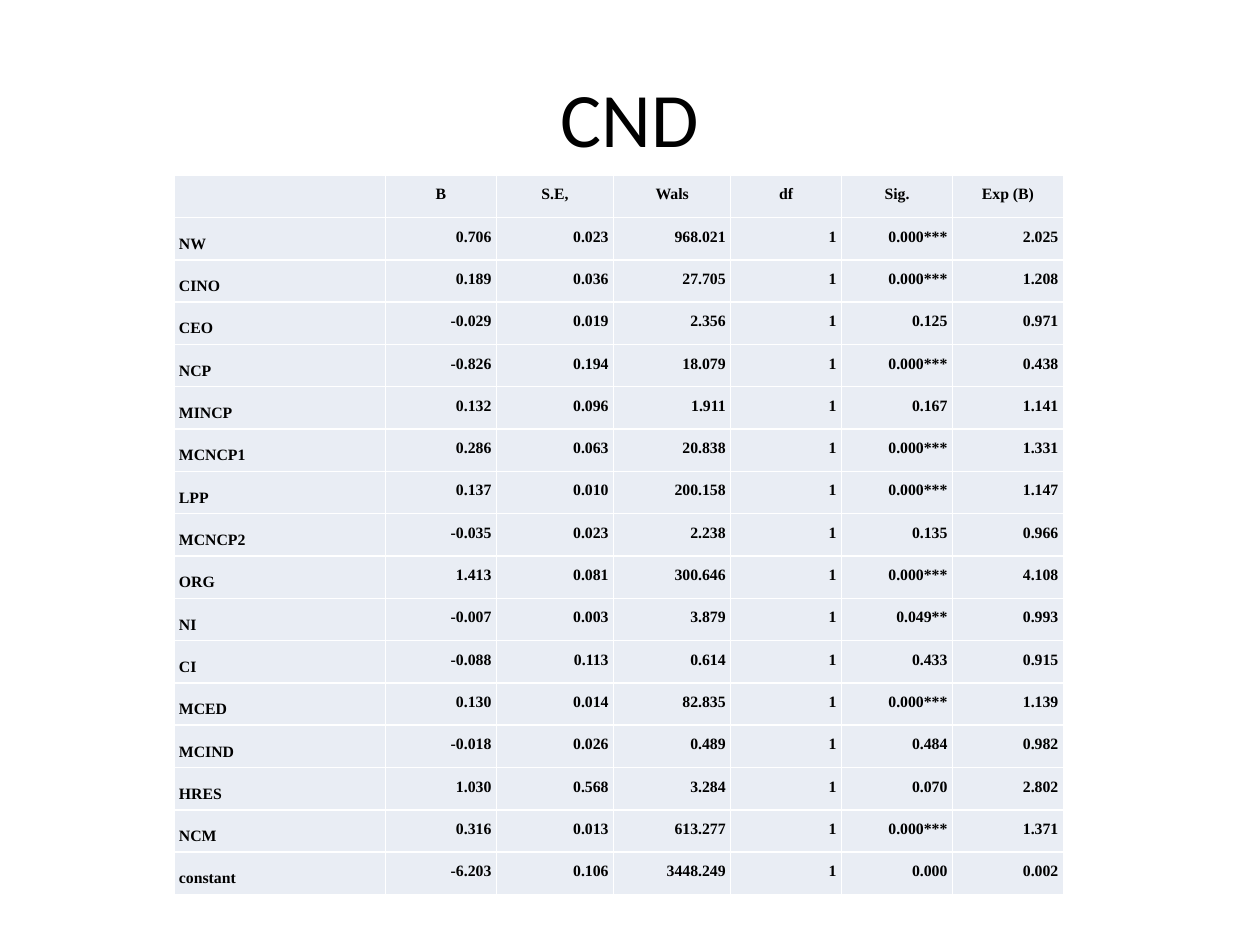
from lxml import etree
from pptx import Presentation
from pptx import util as u
from pptx.dml import color
from pptx.enum import text
from pptx.oxml import ns


def rgb(value):
    return color.RGBColor.from_string(value)


def add_borders(cell, value, points):
    properties = cell._tc.get_or_add_tcPr()
    for position, side in enumerate(("lnL", "lnR", "lnT", "lnB")):
        line = etree.Element(ns.qn(f"a:{side}"), w=str(u.Pt(points)))
        fill = etree.SubElement(line, ns.qn("a:solidFill"))
        etree.SubElement(fill, ns.qn("a:srgbClr"), val=value)
        properties.insert(position, line)


rows = [
    ["", "B", "S.E,", "Wals", "df", "Sig.", "Exp (B)"],
    ["NW", "0.706", "0.023", "968.021", "1", "0.000***", "2.025"],
    ["CINO", "0.189", "0.036", "27.705", "1", "0.000***", "1.208"],
    ["CEO", "-0.029", "0.019", "2.356", "1", "0.125", "0.971"],
    ["NCP", "-0.826", "0.194", "18.079", "1", "0.000***", "0.438"],
    ["MINCP", "0.132", "0.096", "1.911", "1", "0.167", "1.141"],
    ["MCNCP1", "0.286", "0.063", "20.838", "1", "0.000***", "1.331"],
    ["LPP", "0.137", "0.010", "200.158", "1", "0.000***", "1.147"],
    ["MCNCP2", "-0.035", "0.023", "2.238", "1", "0.135", "0.966"],
    ["ORG", "1.413", "0.081", "300.646", "1", "0.000***", "4.108"],
    ["NI", "-0.007", "0.003", "3.879", "1", "0.049**", "0.993"],
    ["CI", "-0.088", "0.113", "0.614", "1", "0.433", "0.915"],
    ["MCED", "0.130", "0.014", "82.835", "1", "0.000***", "1.139"],
    ["MCIND", "-0.018", "0.026", "0.489", "1", "0.484", "0.982"],
    ["HRES", "1.030", "0.568", "3.284", "1", "0.070", "2.802"],
    ["NCM", "0.316", "0.013", "613.277", "1", "0.000***", "1.371"],
    ["constant", "-6.203", "0.106", "3448.249", "1", "0.000", "0.002"],
]
column_widths = [1.68, 0.88, 0.93, 0.93, 0.88, 0.88, 0.88]

presentation = Presentation()
presentation.slide_width = u.Inches(10)
presentation.slide_height = u.Inches(7.5)
slide = presentation.slides.add_slide(presentation.slide_layouts[5])

title = slide.shapes.title
title.left, title.top = u.Inches(0.5), u.Inches(0.3)
title.width, title.height = u.Inches(9), u.Inches(1.25)
title.text_frame.text = "CND"
title.text_frame.vertical_anchor = text.MSO_ANCHOR.MIDDLE
title_paragraph = title.text_frame.paragraphs[0]
title_paragraph.alignment = text.PP_ALIGN.CENTER
title_font = title_paragraph.runs[0].font
title_font.name = "Calibri"
title_font.size = u.Pt(44)
title_font.color.rgb = rgb("000000")

table = slide.shapes.add_table(
    len(rows), len(column_widths),
    u.Inches(1.38), u.Inches(1.39), u.Inches(7.06), u.Inches(5.71),
).table
table.first_row = False
table.horz_banding = False
for column, width in zip(table.columns, column_widths):
    column.width = u.Inches(width)

for row_index, row in enumerate(rows):
    for column_index, value in enumerate(row):
        cell = table.cell(row_index, column_index)
        cell.margin_left = cell.margin_right = 0
        cell.margin_top = cell.margin_bottom = 0
        cell.fill.solid()
        cell.fill.fore_color.rgb = rgb("E9EDF4")
        add_borders(cell, "FFFFFF", 1)
        if not value:
            continue
        cell.text_frame.text = value
        paragraph = cell.text_frame.paragraphs[0]
        paragraph.line_spacing = u.Pt(16)
        indents = paragraph._p.get_or_add_pPr()
        indents.set("marL", str(u.Inches(0.04)))
        indents.set("marR", str(u.Inches(0.04)))
        if row_index == 0:
            paragraph.alignment = text.PP_ALIGN.CENTER
        elif column_index == 0:
            paragraph.alignment = text.PP_ALIGN.LEFT
            cell.vertical_anchor = text.MSO_ANCHOR.MIDDLE
        else:
            paragraph.alignment = text.PP_ALIGN.RIGHT
        font = paragraph.runs[0].font
        font.name = "Times New Roman"
        font.size = u.Pt(9)
        font.bold = True
        font.color.rgb = rgb("000000")

presentation.save("out.pptx")
